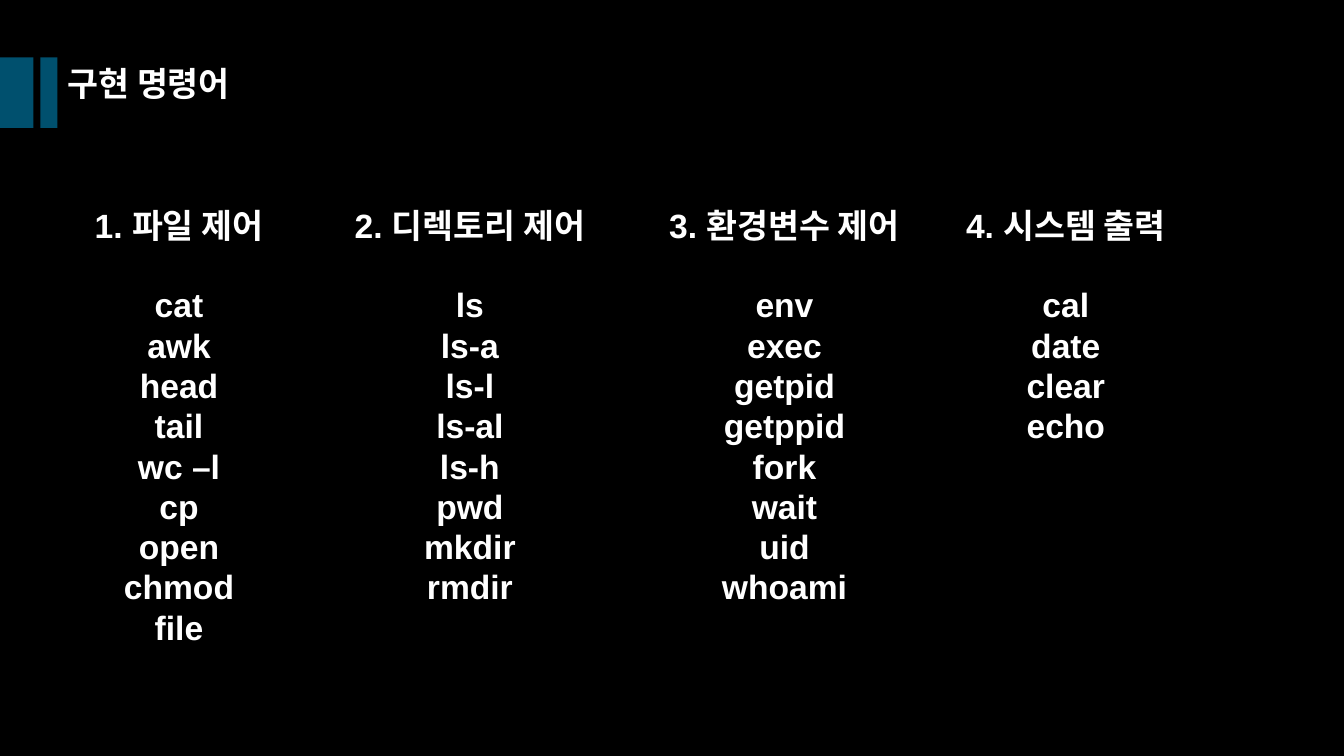
from lxml import etree
from pptx import Presentation
from pptx.dml.color import RGBColor
from pptx.enum.shapes import MSO_SHAPE
from pptx.enum.text import MSO_ANCHOR, MSO_AUTO_SIZE, PP_ALIGN
from pptx.oxml.ns import qn
from pptx.util import Inches, Pt

RECTANGLE = MSO_SHAPE.RECTANGLE
TOP = MSO_ANCHOR.TOP
NO_AUTOSIZE = MSO_AUTO_SIZE.NONE
LEFT, CENTER = PP_ALIGN.LEFT, PP_ALIGN.CENTER

BLACK = RGBColor(0x00, 0x00, 0x00)
WHITE = RGBColor(0xFF, 0xFF, 0xFF)
ACCENT = RGBColor(0x00, 0xB0, 0xF0)
ACCENT_OPACITY = 46

LATIN_FONT = "Arial"
KOREAN_FONT = "Noto Sans CJK SC"
TEXT_SIZE = 24
HEADING_GAP = 28

SLIDE_WIDTH, SLIDE_HEIGHT = Inches(13.33), Inches(7.5)
COLUMN, ROW = SLIDE_WIDTH / 100, SLIDE_HEIGHT / 100

COMPARISON_LAYOUT = 3 + 1
TITLE_TOP, BAR_HEIGHT = 7.6, 9.33
LIST_TOP, HEADING_ROWS, COMMAND_ROWS = 26.4, 12.13, 5.38

ACCENT_BARS = [(0, 2.48), (3, 1.28)]
COMMAND_GROUPS = [
    (3.68, 19.28, "파일 제어",
     ["cat", "awk", "head", "tail", "wc –l", "cp", "open", "chmod", "file"]),
    (19.88, 30.16, "디렉토리 제어",
     ["ls", "ls-a", "ls-l", "ls-al", "ls-h", "pwd", "mkdir", "rmdir"]),
    (43.29, 30.16, "환경변수 제어",
     ["env", "exec", "getpid", "getppid", "fork", "wait", "uid", "whoami"]),
    (64.22, 30.16, "시스템 출력",
     ["cal", "date", "clear", "echo"]),
]


def grid(left, top, width, height):
    return (round(left * COLUMN), round(top * ROW),
            round(width * COLUMN), round(height * ROW))


def place(shape, left, top, width, height):
    shape.left, shape.top, shape.width, shape.height = grid(left, top, width, height)
    frame = shape.text_frame
    frame.word_wrap = True
    frame.auto_size = NO_AUTOSIZE
    frame.vertical_anchor = TOP


def write(paragraph, text, font=LATIN_FONT, align=CENTER, space_after=0):
    paragraph.alignment = align
    paragraph.line_spacing = 1.0
    paragraph.space_before = Pt(0)
    paragraph.space_after = Pt(space_after)
    properties = paragraph._p.get_or_add_pPr()
    properties.set("marL", "0")
    properties.set("indent", "0")
    etree.SubElement(properties, qn("a:buNone"))
    run = paragraph.add_run()
    run.text = text
    run.font.name = font
    run.font.size = Pt(TEXT_SIZE)
    run.font.bold = True
    run.font.color.rgb = WHITE
    east_asian = etree.SubElement(run.font._element, qn("a:ea"))
    east_asian.set("typeface", KOREAN_FONT)


def add_bar(slide, left, width):
    bar = slide.shapes.add_shape(RECTANGLE, *grid(left, TITLE_TOP, width, BAR_HEIGHT))
    bar.shadow.inherit = False
    bar.line.fill.background()
    bar.fill.solid()
    bar.fill.fore_color.rgb = ACCENT
    color = bar._element.spPr.find(qn("a:solidFill")).find(qn("a:srgbClr"))
    etree.SubElement(color, qn("a:alpha")).set("val", str(ACCENT_OPACITY * 1000))


def fill_title(slide, text):
    title = slide.shapes.title
    place(title, 4.28, TITLE_TOP, 29.18, 6.67)
    write(title.text_frame.paragraphs[0], text, font=KOREAN_FONT, align=LEFT)


def fill_commands(placeholder, number, left, width, heading, commands):
    height = HEADING_ROWS + COMMAND_ROWS * len(commands)
    place(placeholder, left, LIST_TOP, width, height)
    frame = placeholder.text_frame
    write(frame.paragraphs[0], f"{number}. {heading}", space_after=HEADING_GAP)
    for command in commands:
        write(frame.add_paragraph(), command)


def main():
    presentation = Presentation()
    presentation.slide_width, presentation.slide_height = SLIDE_WIDTH, SLIDE_HEIGHT
    slide = presentation.slides.add_slide(presentation.slide_layouts[COMPARISON_LAYOUT])
    slide.background.fill.solid()
    slide.background.fill.fore_color.rgb = BLACK
    fill_title(slide, "구현 명령어")
    for number, group in enumerate(COMMAND_GROUPS, start=1):
        fill_commands(slide.placeholders[number], number, *group)
    for left, width in ACCENT_BARS:
        add_bar(slide, left, width)
    presentation.save("out.pptx")


if __name__ == "__main__":
    main()
